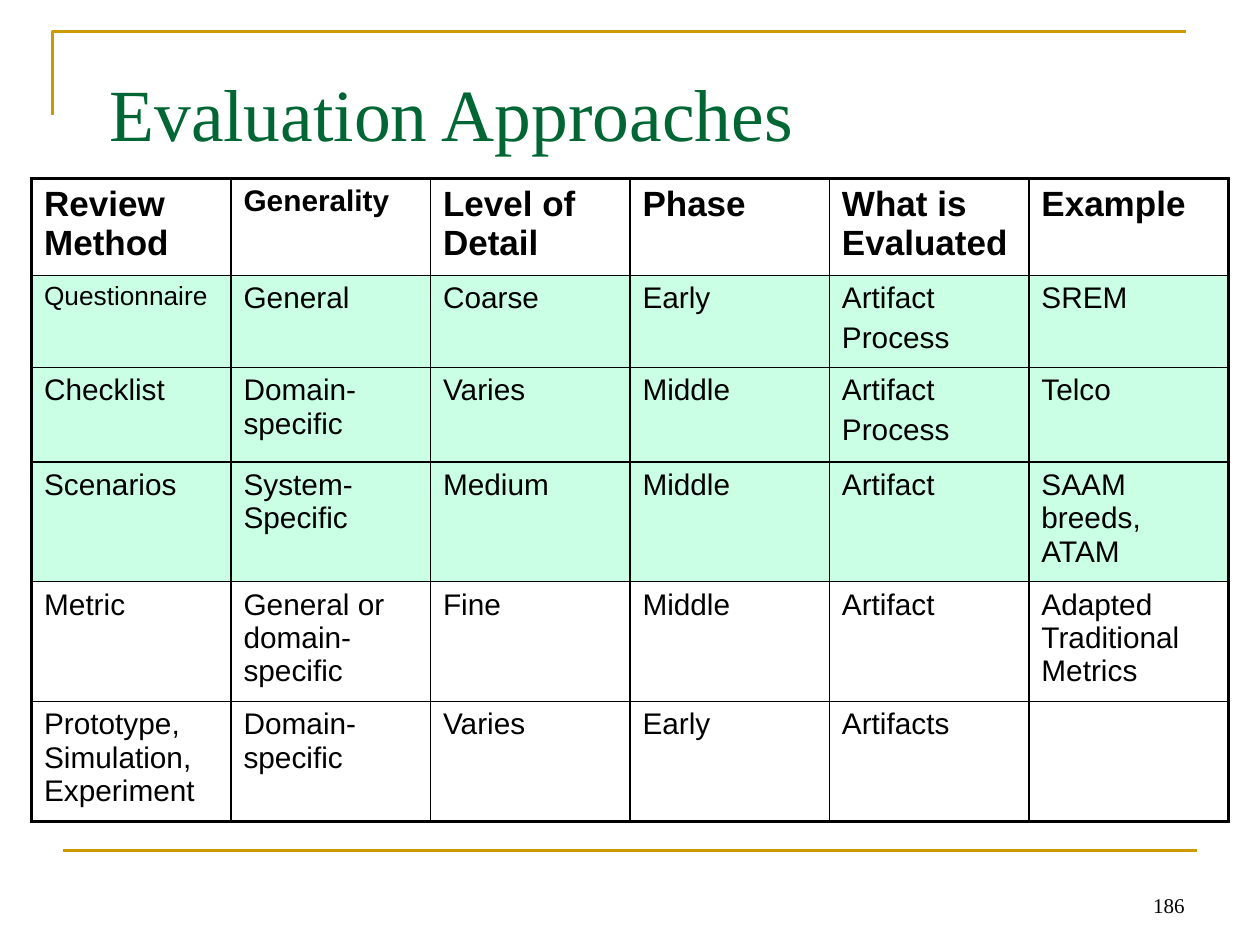
from lxml import etree
from pptx import Presentation
from pptx.dml.color import RGBColor
from pptx.enum.shapes import MSO_CONNECTOR
from pptx.enum.text import MSO_ANCHOR, PP_ALIGN
from pptx.oxml import parse_xml
from pptx.oxml.ns import nsdecls, qn
from pptx.util import Pt

COLORS = {"gold": "CC9900", "green": "006633", "mint": "99FFCC", "black": "000000"}
SERIF, SANS = "Times New Roman", "Arial"
THICK, THIN = 2.25, 1

ROW_HEIGHTS = [55.4, 52.6, 54, 68.4, 68.4, 68.4]
SHADED_ROWS = range(1, 4)
HEADER_SIZE, BODY_SIZE = 20, 17
SPECIAL_SIZES = {"Generality": 17, "Questionnaire": 15}
ROWS = [
    ["Review Method", "Generality", "Level of Detail", "Phase", "What is Evaluated", "Example"],
    ["Questionnaire", "General", "Coarse", "Early", "Artifact\nProcess", "SREM"],
    ["Checklist", "Domain-specific", "Varies", "Middle", "Artifact\nProcess", "Telco"],
    ["Scenarios", "System-Specific", "Medium", "Middle", "Artifact", "SAAM breeds, ATAM"],
    ["Metric", "General or domain-specific", "Fine", "Middle", "Artifact",
     "Adapted Traditional Metrics"],
    ["Prototype, Simulation, Experiment", "Domain-specific", "Varies", "Early", "Artifacts", ""],
]


def rgb(name):
    return RGBColor.from_string(COLORS[name])


def add_run(p, text, size, font, color, bold=False):
    r = p.add_run()
    r.text = text
    r.font.size = Pt(size)
    r.font.name = font
    r.font.bold = bold
    r.font.color.rgb = rgb(color)


def gold_line(shape):
    shape.line.color.rgb = rgb("gold")
    shape.line.width = Pt(1.5)


def add_frame(s, x, y, w, h):
    """Corner line at the top left and rule along the bottom."""
    corner_drop, rule_shift = 48, 6
    builder = s.shapes.build_freeform(Pt(x), Pt(y + corner_drop))
    builder.add_line_segments([(Pt(x), Pt(y)), (Pt(x + w), Pt(y))], close=False)
    corner = builder.convert_to_shape()
    corner.fill.background()
    corner.shadow.inherit = False
    gold_line(corner)

    left = x + rule_shift
    rule = s.shapes.add_connector(MSO_CONNECTOR.STRAIGHT,
                                  Pt(left), Pt(y + h), Pt(left + w), Pt(y + h))
    gold_line(rule)
    etree.SubElement(rule._element.spPr, qn("a:effectLst"))


def add_text(s, box, text, size, color, anchor, align, margin_top=3.6):
    sp = s.shapes.add_textbox(*map(Pt, box))
    tf = sp.text_frame
    tf.word_wrap = True
    tf.vertical_anchor = anchor
    tf.margin_top = Pt(margin_top)
    p = tf.paragraphs[0]
    p.alignment = align
    add_run(p, text, size, SERIF, color)


def set_borders(cell, widths):
    """Draw black borders; widths maps L, R, T and B to points."""
    tc_pr = cell._tc.get_or_add_tcPr()
    for i, side in enumerate("LRTB"):
        tc_pr.insert(i, parse_xml(
            f'<a:ln{side} {nsdecls("a")} w="{Pt(widths[side])}"><a:solidFill>'
            f'<a:srgbClr val="{COLORS["black"]}"/></a:solidFill></a:ln{side}>'))


def fill_cell(cell, shaded):
    if not shaded:
        cell.fill.background()
        return
    cell.fill.solid()
    cell.fill.fore_color.rgb = rgb("mint")
    color = cell._tc.tcPr.find(".//" + qn("a:srgbClr"))
    etree.SubElement(color, qn("a:alpha")).set("val", "50000")


def write_cell(cell, text, size, bold):
    tf = cell.text_frame
    for i, line in enumerate(text.split("\n")):
        p = tf.add_paragraph() if i else tf.paragraphs[0]
        if i:
            p.space_before = Pt(3.4)
        if line:
            add_run(p, line, size, SANS, "black", bold)


def add_methods_table(s, x, y, w):
    n_rows, n_cols = len(ROWS), len(ROWS[0])
    frame = s.shapes.add_table(n_rows, n_cols, Pt(x), Pt(y), Pt(w), Pt(sum(ROW_HEIGHTS)))
    table = frame.table
    table.first_row = table.horz_banding = False
    for col in table.columns:
        col.width = Pt(w / n_cols)
    for i, texts in enumerate(ROWS):
        table.rows[i].height = Pt(ROW_HEIGHTS[i])
        default_size = BODY_SIZE if i else HEADER_SIZE
        for j, text in enumerate(texts):
            cell = table.cell(i, j)
            write_cell(cell, text, SPECIAL_SIZES.get(text, default_size), bold=i == 0)
            fill_cell(cell, i in SHADED_ROWS)
            outer = {"L": j == 0, "R": j == n_cols - 1, "T": i == 0, "B": i == n_rows - 1}
            set_borders(cell, {side: THICK if edge else THIN for side, edge in outer.items()})


def main():
    prs = Presentation()
    prs.slide_width, prs.slide_height = Pt(720), Pt(540)
    s = prs.slides.add_slide(prs.slide_layouts[6])

    add_frame(s, 30, 18, 648, 468)
    # Title
    add_text(s, (55.5, 30, 610.5, 78), "Evaluation Approaches", 42, "green",
             MSO_ANCHOR.TOP, PP_ALIGN.LEFT, margin_top=9)
    add_methods_table(s, 18, 102, 684)
    # Page number
    add_text(s, (516, 492, 168, 36), "186", 12, "black", MSO_ANCHOR.BOTTOM, PP_ALIGN.RIGHT)

    prs.save("out.pptx")


if __name__ == "__main__":
    main()
